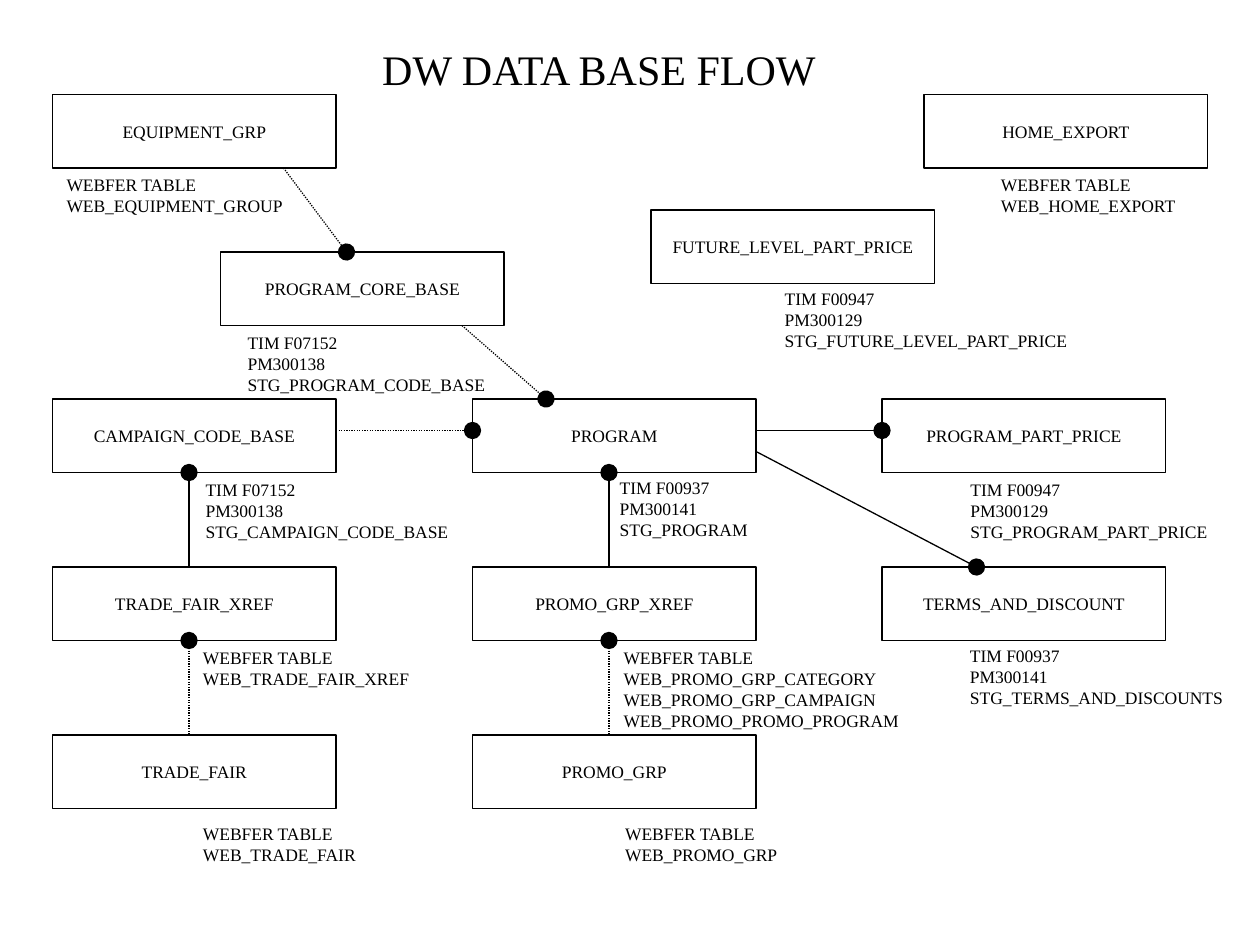
import pptx
import pptx.dml.color
import pptx.enum.dml
import pptx.enum.shapes
import pptx.enum.text
import pptx.oxml
import pptx.oxml.ns
import pptx.util

CELL = pptx.util.Inches(1) // 12  # the slide is a grid of 120 columns by 90 rows
BOX_COLS, BOX_ROWS = 27, 7
INK = "000000"
ANCHOR = pptx.enum.text.MSO_ANCHOR
ALIGN = pptx.enum.text.PP_ALIGN
AUTO_SIZE = pptx.enum.text.MSO_AUTO_SIZE

# table name, (column, row) of its box,
# (columns from box left, rows below box, columns wide) of its source, source lines
TABLES = [
    ("EQUIPMENT_GRP", (5, 9), (0.16, 0, 23.3),
     ["WEBFER TABLE", "WEB_EQUIPMENT_GROUP"]),
    ("HOME_EXPORT", (88, 9), (6.15, 0, 19.4),
     ["WEBFER TABLE", "WEB_HOME_EXPORT"]),
    ("FUTURE_LEVEL_PART_PRICE", (62, 20), (11.56, -0.2, 29.8),
     ["TIM F00947", "PM300129", "STG_FUTURE_LEVEL_PART_PRICE"]),
    ("PROGRAM_CORE_BASE", (21, 24), (1.4, 0, 25.3),
     ["TIM F07152", "PM300138", "STG_PROGRAM_CODE_BASE"]),
    ("CAMPAIGN_CODE_BASE", (5, 38), (13.4, 0, 25.9),
     ["TIM F07152", "PM300138", "STG_CAMPAIGN_CODE_BASE"]),
    ("PROGRAM", (45, 38), (12.84, -0.2, 14.9),
     ["TIM F00937", "PM300141", "STG_PROGRAM"]),
    ("PROGRAM_PART_PRICE", (84, 38), (7.25, 0, 25.5),
     ["TIM F00947", "PM300129", "STG_PROGRAM_PART_PRICE"]),
    ("TRADE_FAIR_XREF", (5, 54), (13.15, 0, 22.4),
     ["WEBFER TABLE", "WEB_TRADE_FAIR_XREF"]),
    ("PROMO_GRP_XREF", (45, 54), (13.2, 0, 28.9),
     ["WEBFER TABLE", "WEB_PROMO_GRP_CATEGORY", "WEB_PROMO_GRP_CAMPAIGN",
      "WEB_PROMO_PROMO_PROGRAM"]),
    ("TERMS_AND_DISCOUNT", (84, 54), (7.2, -0.2, 26.9),
     ["TIM F00937", "PM300141", "STG_TERMS_AND_DISCOUNTS"]),
    ("TRADE_FAIR", (5, 70), (13.15, 0.8, 17.3),
     ["WEBFER TABLE", "WEB_TRADE_FAIR"]),
    ("PROMO_GRP", (45, 70), (13.35, 0.8, 17.2),
     ["WEBFER TABLE", "WEB_PROMO_GRP"]),
]

# start, end, dotted, end that carries the round dot
RELATIONS = [
    ((27, 16), (33, 24), True, "tailEnd"),
    ((44, 31), (52, 38), True, "tailEnd"),
    ((72, 41), (84, 41), False, "tailEnd"),
    ((72, 43), (93, 54), False, "tailEnd"),
    ((32, 41), (45, 41), True, "tailEnd"),
    ((18, 45), (18, 54), False, "headEnd"),
    ((58, 45), (58, 54), False, "headEnd"),
    ((18, 61), (18, 70), True, "headEnd"),
    ((58, 61), (58, 70), True, "headEnd"),
]


def grid(*cells):
    return [round(cell * CELL) for cell in cells]


def color(hex_value):
    return pptx.dml.color.RGBColor.from_string(hex_value)


def apply(target, **values):
    for name, value in values.items():
        setattr(target, name, value)


def write(shape, lines, size, align, **frame_format):
    frame = shape.text_frame
    frame.text = "\n".join(lines)
    apply(frame, word_wrap=False, **frame_format)
    for paragraph in frame.paragraphs:
        paragraph.alignment = align
        apply(paragraph.font, name="Times New Roman", size=pptx.util.Pt(size), bold=False)
        paragraph.font.color.rgb = color(INK)


def draw_outline(line):
    line.color.rgb = color(INK)
    line.width = pptx.util.Pt(0.75)


def add_title(slide, left, top, width, height):
    title = slide.shapes.title
    apply(title, **dict(zip(("left", "top", "width", "height"),
                            grid(left, top, width, height))))
    write(title, ["DW DATA BASE FLOW"], 24, ALIGN.LEFT,
          vertical_anchor=ANCHOR.TOP, auto_size=AUTO_SIZE.SHAPE_TO_FIT_TEXT)


def add_table_box(slide, name, left, top):
    box = slide.shapes.add_shape(pptx.enum.shapes.MSO_SHAPE.RECTANGLE,
                                 *grid(left, top, BOX_COLS, BOX_ROWS))
    box.shadow.inherit = False
    box.fill.background()
    draw_outline(box.line)
    write(box, [name], 10, ALIGN.CENTER, vertical_anchor=ANCHOR.MIDDLE)


def add_source(slide, lines, left, top, width):
    """List where a table is loaded from; each line takes two rows."""
    source = slide.shapes.add_textbox(*grid(left, top, width, 1.2 + 2 * len(lines)))
    write(source, lines, 10, ALIGN.LEFT, auto_size=AUTO_SIZE.SHAPE_TO_FIT_TEXT)


def add_relation(slide, start, end, dotted, dot_end):
    relation = slide.shapes.add_connector(pptx.enum.shapes.MSO_CONNECTOR.STRAIGHT,
                                          *grid(*start, *end))
    draw_outline(relation.line)
    if dotted:
        relation.line.dash_style = pptx.enum.dml.MSO_LINE.ROUND_DOT
    properties = relation._element.spPr
    dot = pptx.oxml.parse_xml(
        f'<a:{dot_end} {pptx.oxml.ns.nsdecls("a")} type="oval" w="lg" len="lg"/>')
    properties.find(pptx.oxml.ns.qn("a:ln")).append(dot)
    properties.append(pptx.oxml.parse_xml(f'<a:effectLst {pptx.oxml.ns.nsdecls("a")}/>'))


def add_flow(slide):
    for name, (left, top), (shift, drop, width), lines in TABLES:
        add_table_box(slide, name, left, top)
        add_source(slide, lines, left + shift, top + BOX_ROWS + drop, width)
    for relation in RELATIONS:
        add_relation(slide, *relation)


def main():
    deck = pptx.Presentation()
    apply(deck, slide_width=120 * CELL, slide_height=90 * CELL)
    slide = deck.slides.add_slide(deck.slide_layouts[5])
    add_title(slide, 35.2, 3.5, 44.8, 6)
    add_flow(slide)
    deck.save("out.pptx")


if __name__ == "__main__":
    main()
